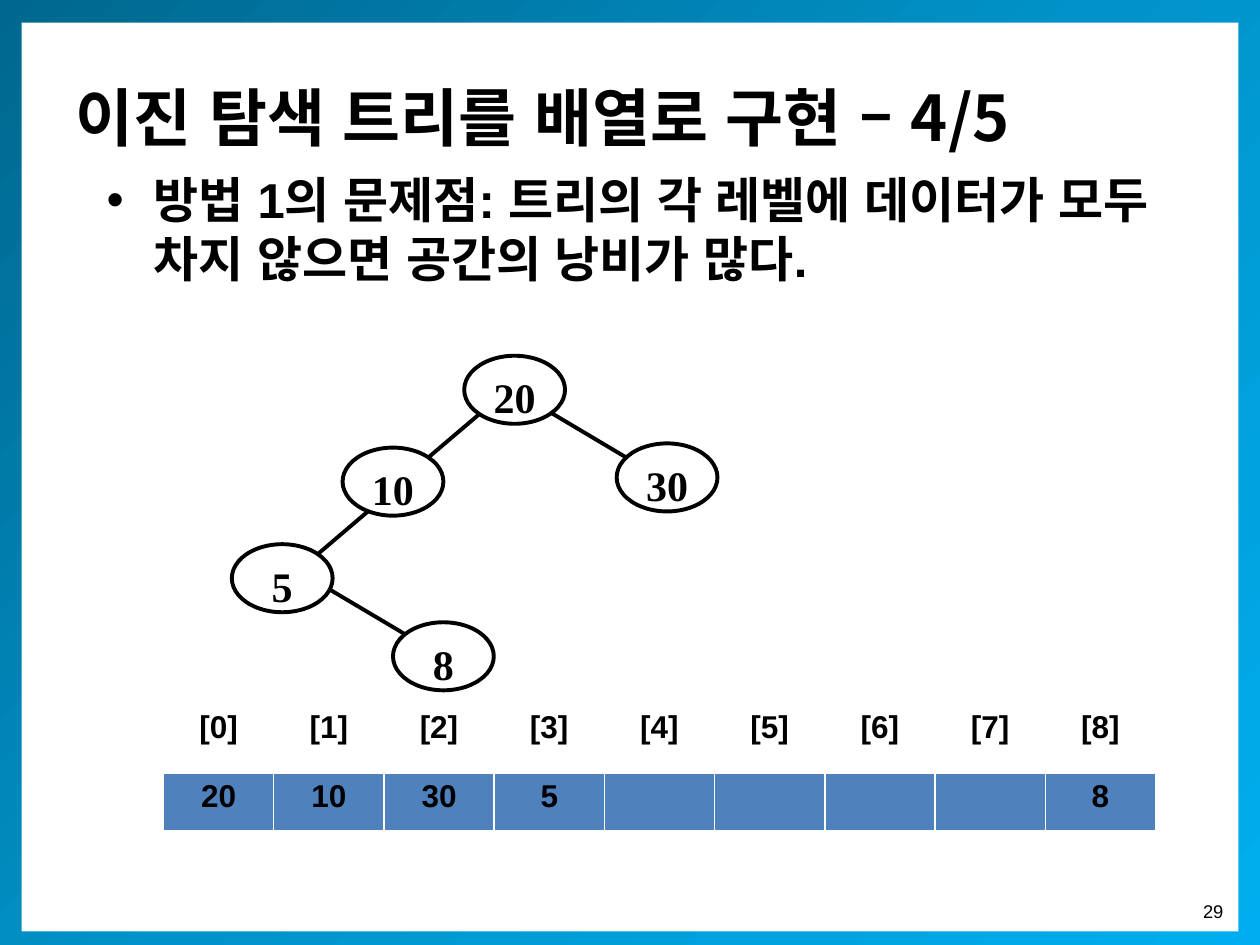
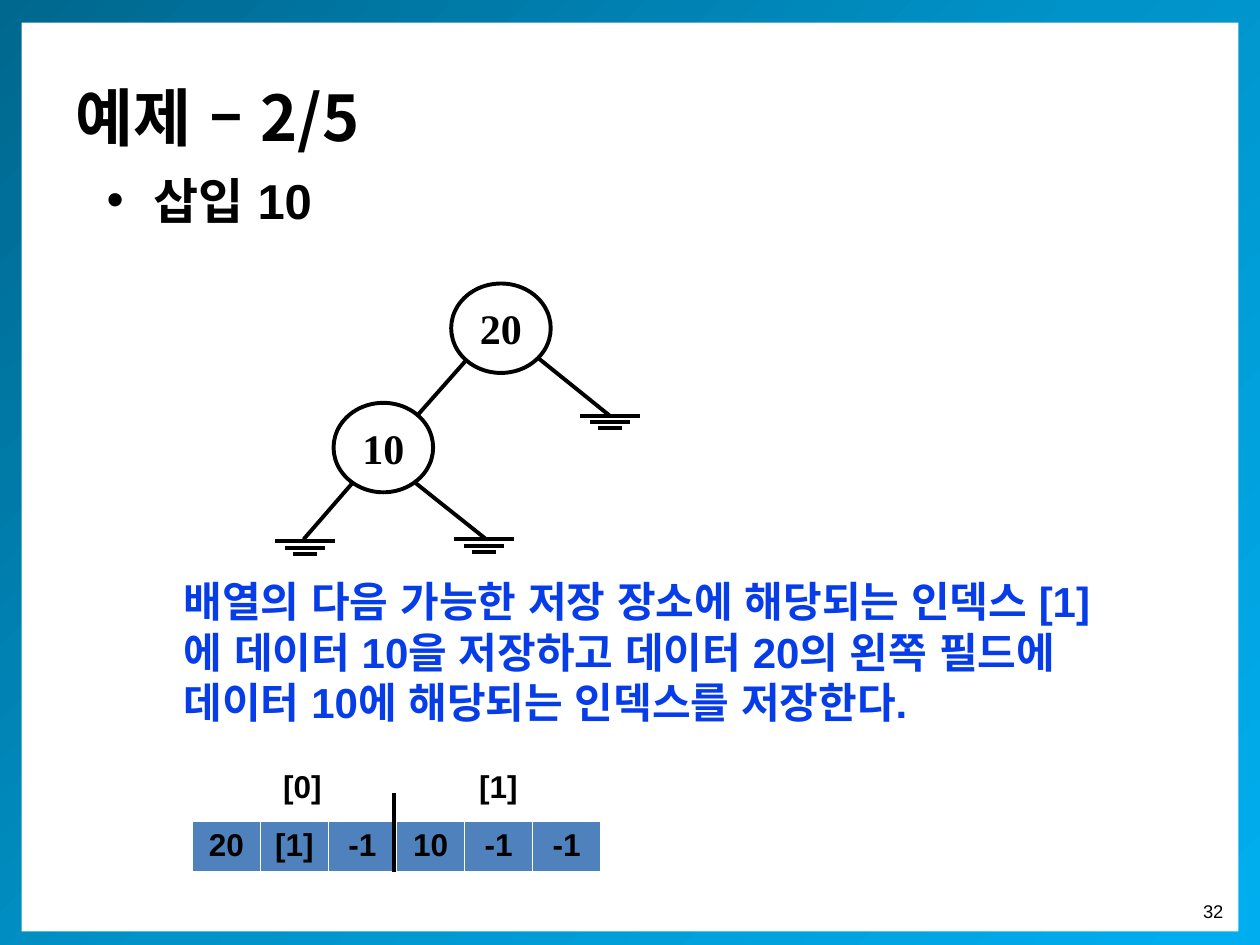
from copy import deepcopy
from dataclasses import dataclass

from lxml import etree
from pptx import Presentation
from pptx.dml.color import RGBColor
from pptx.enum import shapes, text
from pptx.oxml.ns import qn
from pptx.util import Pt


@dataclass(frozen=True)
class Theme:
    frame: tuple = ("00678E", "0093C9", "00AEEF")
    paper: str = "FFFFFF"
    ink: str = "000000"
    note: str = "063DE8"
    cell: str = "4F81BD"
    title_font: str = "Noto Sans CJK KR"
    body_font: str = "Arial"
    node_font: str = "Times New Roman"
    title_size: float = 36
    bullet_size: float = 28
    node_size: float = 24
    cell_size: float = 18
    number_size: float = 10.5
    line: float = 2.25


T = Theme()
LEFT, CENTER, RIGHT = text.PP_ALIGN.LEFT, text.PP_ALIGN.CENTER, text.PP_ALIGN.RIGHT


def write(tf, words, size, font=T.body_font, color=T.ink, align=LEFT, bold=True):
    p = tf.paragraphs[0]
    p.text = words
    p.alignment = align
    for r in p.runs:
        r.font.size = Pt(size)
        r.font.name = font
        r.font.bold = bold
        r.font.color.rgb = RGBColor.from_string(color)
        rPr = r._r.get_or_add_rPr()
        rPr.set("lang", "ko-KR")
        rPr.find(qn("a:latin")).addnext(etree.Element(qn("a:ea"), typeface=T.title_font))
    return p


def add_line(s, x1, y1, x2, y2):
    ln = s.shapes.add_connector(shapes.MSO_CONNECTOR.STRAIGHT, Pt(x1), Pt(y1), Pt(x2), Pt(y2))
    ln.line.width = Pt(T.line)
    ln.line.color.rgb = RGBColor.from_string(T.ink)
    etree.SubElement(ln._element.spPr, qn("a:effectLst"))


slides = [
    dict(
        title="이진 탐색 트리를 배열로 구현 – 4/5",
        number="29",
        bullet="방법 1의 문제점: 트리의 각 레벨에 데이터가 모두 차지 않으면 공간의 낭비가 많다.",
        bullet_size=(623.5, 80),
        note=None,
        node_size=(57.6, 38.9),
        nodes=[("20", 265.3, 203.3), ("30", 352.4, 253.4), ("10", 195.8, 255.8),
               ("5", 132.5, 311), ("8", 224.6, 355.6)],
        lines=[(273.6, 236.9, 244.8, 261.4), (210.2, 292.3, 181.4, 316.8),
               (315.4, 236.2, 357.8, 261.4), (188.6, 337, 231.1, 362.2)],
        grounds=[],
        tables=[
            (93.4, 401.8, 63, 33.8, None, [f"[{i}]" for i in range(9)]),
            (93.4, 441.7, 63, 33.8, T.cell, ["20", "10", "30", "5", "", "", "", "", "8"]),
        ],
    ),
    dict(
        title="예제 – 2/5",
        number="32",
        bullet="삽입 10",
        bullet_size=(601, 60),
        note="배열의 다음 가능한 저장 장소에 해당되는 인덱스 [1]에 데이터 10을 저장하고 "
             "데이터 20의 왼쪽 필드에 데이터 10에 해당되는 인덱스를 저장한다.",
        node_size=(56.9, 51.1),
        nodes=[("20", 257.8, 162), ("10", 190.6, 230.2)],
        lines=[(266.4, 205.9, 238.3, 237.6), (307.4, 204.5, 348.5, 237.6),
               (201.6, 275.8, 173.5, 308.2), (236.2, 275, 277.9, 308.2),
               (225.4, 498.2, 225.4, 452.9)],
        grounds=[(174.4, 309.3), (348.7, 237.6), (276.7, 308.2)],
        tables=[
            (109.4, 436.3, 227.5, 28.8, None, ["\t[0]\t[1]"]),
            (109.9, 469.4, 38.9, 29.5, T.cell, ["20", "[1]", "-1", "10", "-1", "-1"]),
        ],
    ),
]
label_tabs = (56.2, 168.2)

prs = Presentation()
prs.slide_width, prs.slide_height = Pt(720), Pt(540)
layout = prs.slide_layouts[5]

for index, d in enumerate(slides):
    s = prs.slides.add_slide(layout)

    if index == 0:
        frame = s.shapes.add_shape(shapes.MSO_SHAPE.RECTANGLE, 0, Pt(-3), Pt(720), Pt(546.5))
        frame.fill.gradient()
        frame.fill.gradient_angle = 315
        first = frame.fill.gradient_stops[0]._gs
        first.addnext(deepcopy(first))
        for stop, color, place in zip(frame.fill.gradient_stops, T.frame, (0, 0.5, 1)):
            stop.color.rgb = RGBColor.from_string(color)
            stop.position = place
        paper = s.shapes.add_shape(shapes.MSO_SHAPE.RECTANGLE, Pt(12.4), Pt(13), Pt(695.3), Pt(519.2))
        paper.fill.solid()
        paper.fill.fore_color.rgb = RGBColor.from_string(T.paper)
        for place, sp in enumerate((frame, paper), 2):
            sp.shadow.inherit = False
            sp.line.fill.background()
            layout.shapes._spTree.insert(place, sp._element)

    title = s.shapes.title
    title.left, title.top, title.width, title.height = Pt(36), Pt(21.6), Pt(648), Pt(90)
    title.text_frame.vertical_anchor = text.MSO_ANCHOR.MIDDLE
    title.text_frame.auto_size = text.MSO_AUTO_SIZE.NONE
    write(title.text_frame, d["title"], T.title_size, T.title_font)

    number = s.shapes.add_textbox(Pt(678.2), Pt(510.8), Pt(28), Pt(20.2))
    write(number.text_frame, d["number"], T.number_size, align=RIGHT, bold=False)

    for x, y, col_width, height, fill, values in d["tables"]:
        grid = s.shapes.add_table(1, len(values), Pt(x), Pt(y), Pt(col_width * len(values)), Pt(height))
        table = grid.table
        table.first_row = table.horz_banding = False
        for col, value in enumerate(values):
            table.columns[col].width = Pt(col_width)
            cell = table.cell(0, col)
            tabbed = "\t" in value
            p = write(cell.text_frame, value, T.cell_size, align=LEFT if tabbed else CENTER)
            if tabbed:
                tabs = etree.SubElement(p._p.get_or_add_pPr(), qn("a:tabLst"))
                for stop in label_tabs:
                    etree.SubElement(tabs, qn("a:tab"), pos=str(Pt(stop)), algn="ctr")
            if fill:
                cell.fill.solid()
                cell.fill.fore_color.rgb = RGBColor.from_string(fill)
            else:
                cell.fill.background()
            tcPr = cell._tc.get_or_add_tcPr()
            for place, (side, width) in enumerate((("L", 1), ("R", 1), ("T", 1), ("B", 3))):
                ln = etree.Element(qn(f"a:ln{side}"), w=str(Pt(width)))
                solid = etree.SubElement(ln, qn("a:solidFill"))
                etree.SubElement(solid, qn("a:srgbClr"), val=T.paper)
                tcPr.insert(place, ln)

    bullet = s.shapes.add_textbox(Pt(53.8), Pt(93.6), *map(Pt, d["bullet_size"]))
    bullet.text_frame.word_wrap = True
    pPr = write(bullet.text_frame, d["bullet"], T.bullet_size)._p.get_or_add_pPr()
    pPr.set("marL", str(Pt(27)))
    pPr.set("indent", str(Pt(-27)))
    etree.SubElement(pPr, qn("a:buFont"), typeface=T.body_font)
    etree.SubElement(pPr, qn("a:buChar"), char="•")

    for label, x, y in d["nodes"]:
        node = s.shapes.add_shape(shapes.MSO_SHAPE.OVAL, Pt(x), Pt(y), *map(Pt, d["node_size"]))
        node.shadow.inherit = False
        node.fill.background()
        node.line.width = Pt(T.line)
        node.line.color.rgb = RGBColor.from_string(T.ink)
        node.text_frame.vertical_anchor = text.MSO_ANCHOR.TOP
        write(node.text_frame, label, T.node_size, T.node_font, align=CENTER)

    for ends in d["lines"]:
        add_line(s, *ends)
    for x, y in d["grounds"]:
        for row, half in enumerate((17, 11.5, 7)):
            add_line(s, x - half, y + 3.6 * row, x + half, y + 3.6 * row)

    if d["note"]:
        note = s.shapes.add_textbox(Pt(66.2), Pt(325.4), Pt(578.2), Pt(108.7))
        note.text_frame.word_wrap = True
        p = write(note.text_frame, d["note"], T.node_size, color=T.note)
        p._p.get_or_add_pPr().set("marL", str(Pt(31.7)))

prs.save("out.pptx")
